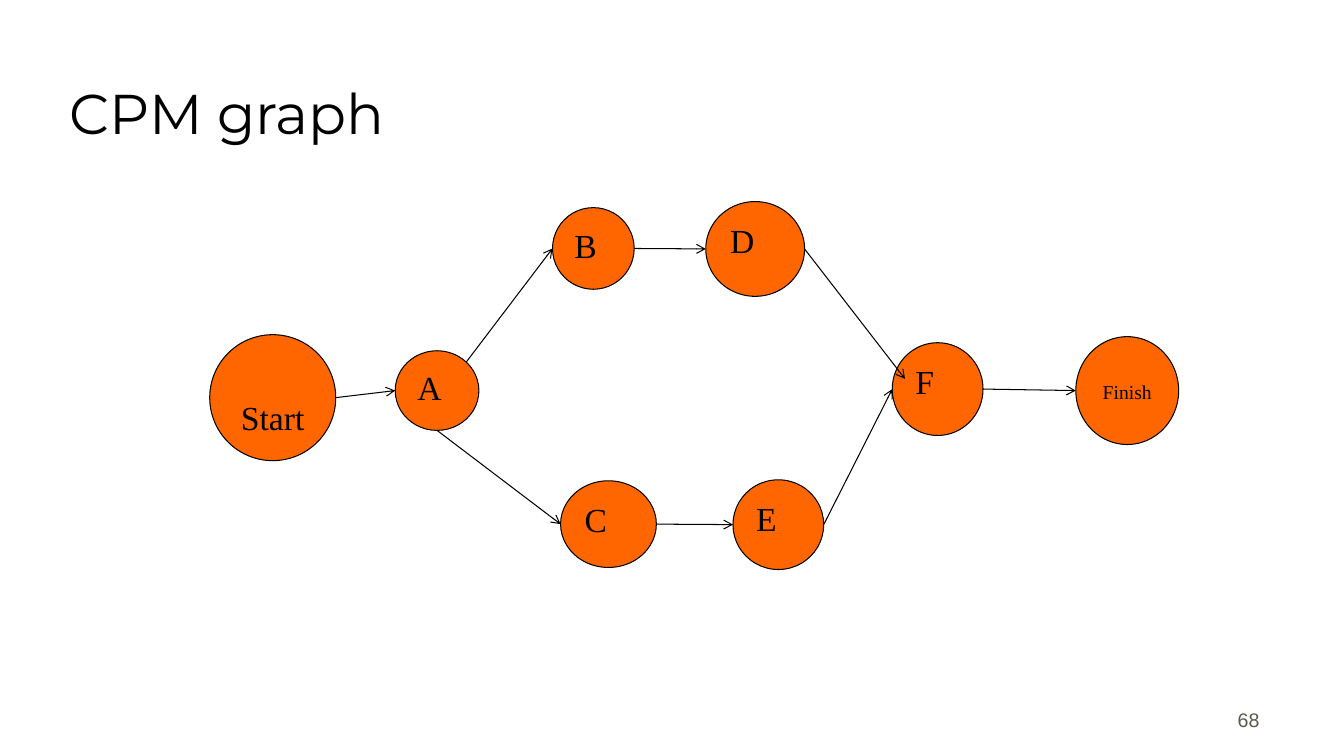
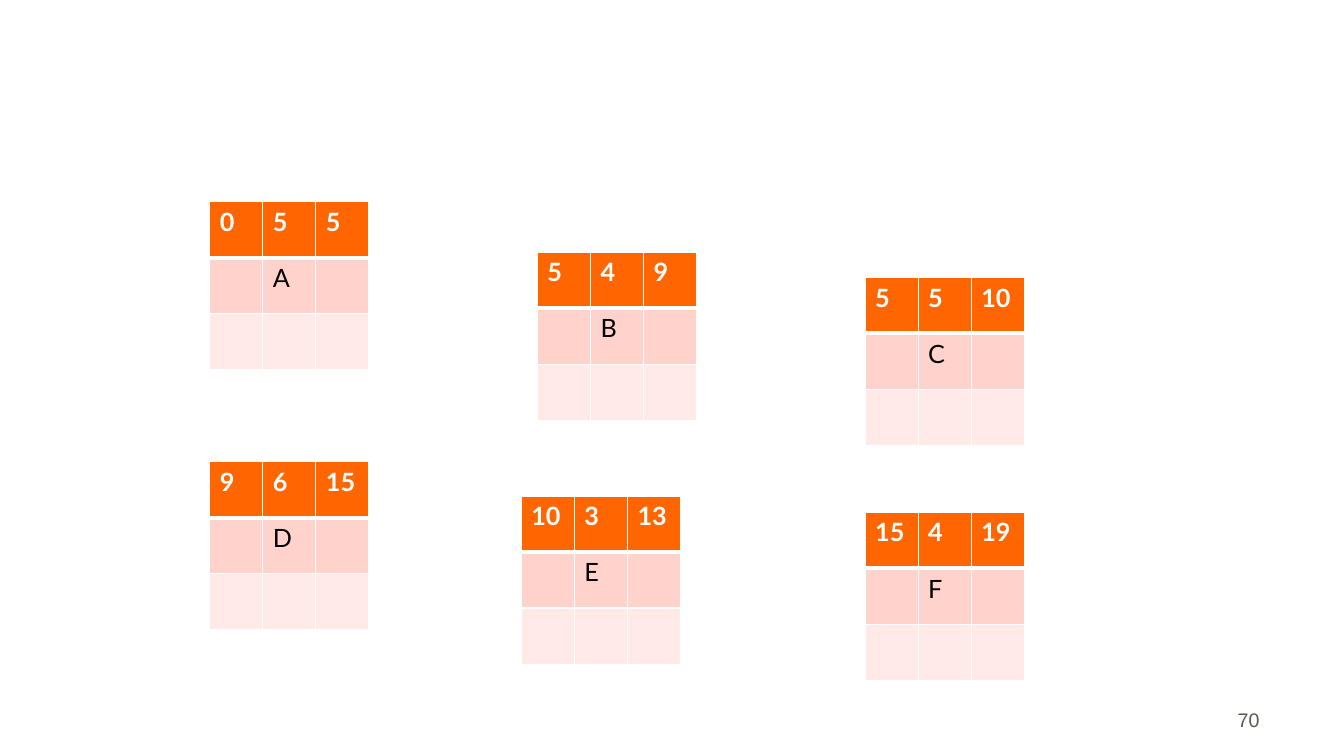
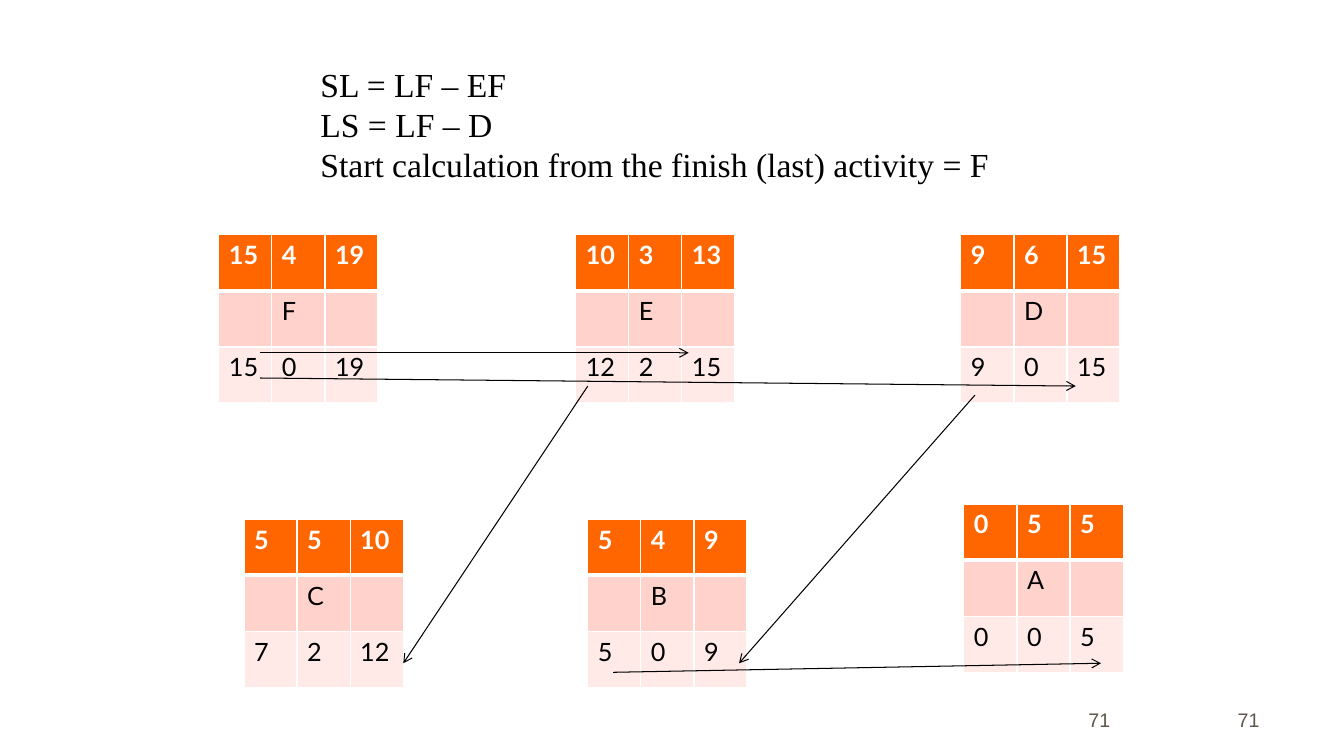
from lxml import etree
from pptx import Presentation
from pptx.dml.color import RGBColor
from pptx.enum import shapes, text
from pptx.oxml.ns import qn
from pptx.util import Inches, Pt

COLORS = {"ink": "000000", "orange": "FF6600", "pink": "FFD3CC",
          "pale": "FFEAE7", "white": "FFFFFF", "number": "5E574E"}
SERIF, SANS, TABLE_FONT, TITLE_FONT = "Times New Roman", "Arial", "Lato", "Montserrat"
SLIDE_WIDTH, SLIDE_HEIGHT = 13.33, 7.5
TABLE_SIZE = 1.58, 1.67
NUMBER_BOX = 9.81, 6.81, 2.78, 0.5
EXTRA_NUMBER_BOX = 9.03, 6.81, 2.08, 0.5

NODES = {
    "Start": (2.08, 3.32, 1.25, 1.25),
    "A": (3.92, 3.48, 0.83, 0.79),
    "B": (5.48, 2.06, 0.81, 0.81),
    "C": (5.56, 4.77, 0.95, 0.86),
    "D": (7, 2, 0.98, 0.94),
    "E": (7.27, 4.76, 0.9, 0.89),
    "F": (8.85, 3.4, 0.9, 0.92),
    "Finish": (10.67, 3.34, 1.02, 1.07),
}
CENTRED_NODES = {"Start": (24, 0.43), "Finish": (14, 0.27)}
LEFT, RIGHT, BOTTOM = (0, 0.5), (1, 0.5), (0.5, 1)
UPPER_RIGHT, INNER_LEFT = (0.85, 0.14), (0.14, 0.39)
EDGES = [
    ("Start", RIGHT, "A", LEFT),
    ("A", UPPER_RIGHT, "B", LEFT),
    ("B", RIGHT, "D", LEFT),
    ("A", BOTTOM, "C", LEFT),
    ("C", RIGHT, "E", LEFT),
    ("E", RIGHT, "F", LEFT),
    ("F", RIGHT, "Finish", LEFT),
    ("D", RIGHT, "F", INNER_LEFT),
]

ACTIVITIES = {
    "A": {"early": (0, 5, 5), "late": (0, 0, 5)},
    "B": {"early": (5, 4, 9), "late": (5, 0, 9)},
    "C": {"early": (5, 5, 10), "late": (7, 2, 12)},
    "D": {"early": (9, 6, 15), "late": (9, 0, 15)},
    "E": {"early": (10, 3, 13), "late": (12, 2, 15)},
    "F": {"early": (15, 4, 19), "late": (15, 0, 19)},
}
FORWARD_PLACES = {"A": (2.08, 2), "B": (5.33, 2.5), "C": (8.58, 2.75),
                  "D": (2.08, 4.58), "E": (5.17, 4.92), "F": (8.58, 5.08)}
BACKWARD_PLACES = {"F": (2.17, 2.33), "E": (5.71, 2.33), "D": (9.53, 2.33),
                   "C": (2.42, 5.15), "B": (5.83, 5.15), "A": (9.56, 5)}
BACKWARD_ARROWS = [
    ((2.58, 3.5), (6.83, 3.5)),
    ((2.58, 3.75), (10.67, 3.83)),
    ((5.83, 3.83), (4, 6.58)),
    ((9.67, 3.92), (7.33, 6.58)),
    ((6.08, 6.67), (10.92, 6.58)),
]
FORMULAS = ["SL = LF – EF", "LS = LF – D",
            "Start calculation from the finish (last) activity = F"]


def rgb(name):
    return RGBColor.from_string(COLORS[name])


def inches(values):
    return [Inches(value) for value in values]


def style(frame, font, size, color="ink", bold=False, align=text.PP_ALIGN.LEFT):
    for para in frame.paragraphs:
        para.alignment = align
        for span in para.runs:
            span.font.name, span.font.size, span.font.bold = font, Pt(size), bold
            span.font.color.rgb = rgb(color)


def add_text(page, place, lines):
    frame = page.shapes.add_textbox(*inches(place)).text_frame
    frame.word_wrap = True
    frame.text = "\n".join(lines)
    return frame


def add_number(page, number, place=NUMBER_BOX):
    frame = add_text(page, place, [str(number)])
    frame.vertical_anchor = text.MSO_ANCHOR.BOTTOM
    style(frame, SANS, 14, "number", align=text.PP_ALIGN.RIGHT)


def add_page(deck, number, title=None):
    page = deck.slides.add_slide(deck.slide_layouts[5 if title else 6])
    if title:
        box = page.shapes.title
        box.left, box.top, box.width, box.height = inches((0.59, 0.25, 11.33, 1.25))
        box.text_frame.text = title
        box.text_frame.vertical_anchor = text.MSO_ANCHOR.BOTTOM
        style(box.text_frame, TITLE_FONT, 40)
    add_number(page, number)
    return page


def add_arrow(page, start, end):
    arrow = page.shapes.add_connector(shapes.MSO_CONNECTOR.STRAIGHT, *inches(start + end))
    arrow.line.color.rgb = rgb("ink")
    arrow.line.width = Pt(0.75)
    etree.SubElement(arrow.line._get_or_add_ln(), qn("a:tailEnd"), type="arrow")
    etree.SubElement(arrow._element.spPr, qn("a:effectLst"))


def add_node(page, label, place):
    node = page.shapes.add_shape(shapes.MSO_SHAPE.OVAL, *inches(place))
    node.shadow.inherit = False
    node.fill.solid()
    node.fill.fore_color.rgb = rgb("orange")
    node.line.color.rgb = rgb("ink")
    node.line.width = Pt(0.75)
    size, inset = CENTRED_NODES.get(label, (24, 0.05))
    frame = node.text_frame
    frame.text = label
    frame.vertical_anchor = text.MSO_ANCHOR.TOP
    frame.margin_top = Inches(inset)
    centred = label in CENTRED_NODES
    style(frame, SERIF, size,
          align=text.PP_ALIGN.CENTER if centred else text.PP_ALIGN.LEFT)


def node_point(label, share):
    left, top, width, height = NODES[label]
    return left + share[0] * width, top + share[1] * height


def add_borders(cell, row):
    widths = {"L": 1, "R": 1, "T": 3 if row == 1 else 1, "B": 3 if row == 0 else 1}
    for side, width in widths.items():
        line = etree.SubElement(cell._tc.get_or_add_tcPr(), qn(f"a:ln{side}"), w=str(Pt(width)))
        fill = etree.SubElement(line, qn("a:solidFill"))
        etree.SubElement(fill, qn("a:srgbClr"), val=COLORS["white"])


def add_activity(page, label, place, with_late):
    late = ACTIVITIES[label]["late"] if with_late else ("", "", "")
    rows = [ACTIVITIES[label]["early"], ("", label, ""), late]
    table = page.shapes.add_table(3, 3, *inches(place + TABLE_SIZE)).table
    for row, (values, fill) in enumerate(zip(rows, ("orange", "pink", "pale"))):
        for column, value in enumerate(values):
            cell = table.cell(row, column)
            add_borders(cell, row)
            cell.fill.solid()
            cell.fill.fore_color.rgb = rgb(fill)
            cell.text = str(value)
            style(cell.text_frame, TABLE_FONT, 18,
                  "ink" if row else "white", bold=row == 0)


def build_graph(deck):
    page = add_page(deck, 68, "CPM graph")
    for label, place in NODES.items():
        add_node(page, label, place)
    for source, source_share, target, target_share in EDGES:
        add_arrow(page, node_point(source, source_share), node_point(target, target_share))


def build_forward_pass(deck):
    page = add_page(deck, 70)
    for label, place in FORWARD_PLACES.items():
        add_activity(page, label, place, with_late=False)


def build_backward_pass(deck):
    page = add_page(deck, 71)
    add_number(page, 71, EXTRA_NUMBER_BOX)
    for label, place in BACKWARD_PLACES.items():
        add_activity(page, label, place, with_late=True)
    style(add_text(page, (3.08, 0.58, 6.83, 1.31), FORMULAS), SERIF, 24)
    for start, end in BACKWARD_ARROWS:
        add_arrow(page, start, end)


def main():
    deck = Presentation()
    deck.slide_width, deck.slide_height = inches((SLIDE_WIDTH, SLIDE_HEIGHT))
    build_graph(deck)
    build_forward_pass(deck)
    build_backward_pass(deck)
    deck.save("out.pptx")


if __name__ == "__main__":
    main()
